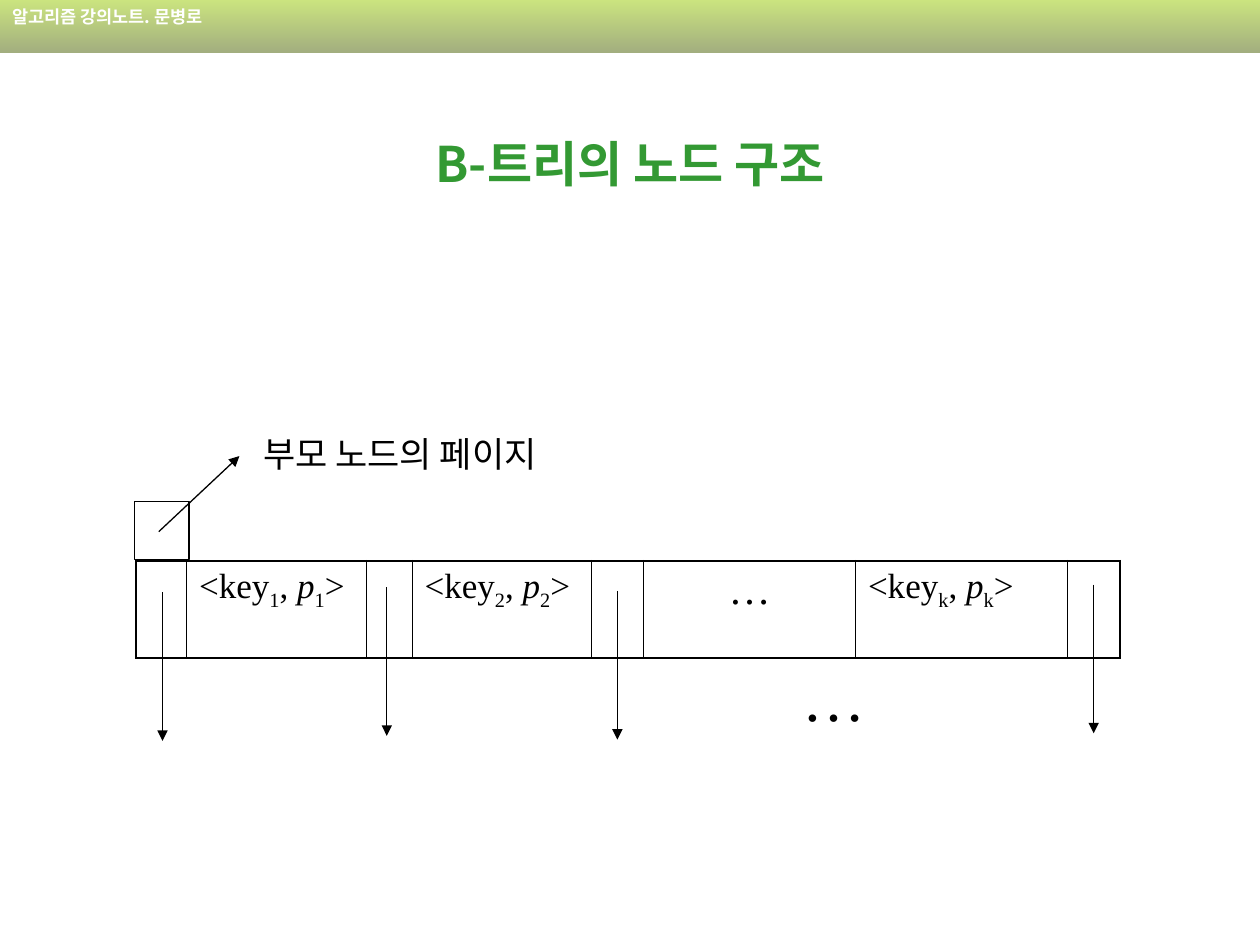
"""Build the slide on the node structure of a B-tree."""
import pptx
import pptx.util
import pptx.dml.color
import pptx.enum.shapes
import pptx.enum.text
from lxml import etree
from pptx.oxml.ns import qn

Inches, Pt = pptx.util.Inches, pptx.util.Pt
RGBColor = pptx.dml.color.RGBColor
ALIGN = pptx.enum.text.PP_ALIGN
RECTANGLE = pptx.enum.shapes.MSO_SHAPE.RECTANGLE
STRAIGHT = pptx.enum.shapes.MSO_CONNECTOR.STRAIGHT

BLACK = RGBColor(0x00, 0x00, 0x00)
WHITE = RGBColor(0xFF, 0xFF, 0xFF)
GREEN = RGBColor(0x33, 0x99, 0x33)
LIME = RGBColor(0x99, 0xCC, 0x00)
OLIVE = RGBColor(0x47, 0x5E, 0x00)
KOREAN, LATIN = "Noto Sans CJK KR", "Times New Roman"

HEADER = "알고리즘 강의노트. 문병로"
TITLE = "B-트리의 노드 구조"
PARENT_PAGE = "부모 노드의 페이지"
DOTS = "…"
NODE_FIELDS = [("", 0.4), ("1", 1.43), ("", 0.36), ("2", 1.42),
               ("", 0.42), (DOTS, 1.68), ("k", 1.68), ("", 0.42)]
NODE_LEFT, NODE_TOP, NODE_HEIGHT = 1.08, 4.45, 0.77
CHILD_POINTERS = [(1.29, 4.7), (3.07, 4.66), (4.9, 4.69), (8.68, 4.64)]
POINTER_LENGTH = 1.18
PARENT_POINTER = (1.26, 4.22, 1.9, 3.62)


def style(run, size, face, color=BLACK, bold=False):
    run.font.size, run.font.bold = Pt(size), bold
    run.font.color.rgb = color
    run.font.name = face
    etree.SubElement(run._r.get_or_add_rPr(), qn("a:ea"), typeface=face)


def write(frame, text, size, face, color=BLACK, bold=False, align=ALIGN.LEFT):
    frame.text = text
    line = frame.paragraphs[0]
    line.alignment = align
    style(line.runs[0], size, face, color, bold)


def add_label(slide, box, text, size, face, **look):
    label = slide.shapes.add_textbox(*map(Inches, box))
    write(label.text_frame, text, size, face, **look)
    return label.text_frame


def add_arrow(slide, *ends):
    arrow = slide.shapes.add_connector(STRAIGHT, *map(Inches, ends))
    arrow.line.color.rgb, arrow.line.width = BLACK, Pt(0.75)
    etree.SubElement(arrow.line._get_or_add_ln(), qn("a:tailEnd"), type="triangle")
    etree.SubElement(arrow._element.spPr, qn("a:effectLst"))


def write_key(frame, index):
    parts = [("<key", False, False), (index, True, False), (", ", False, False),
             ("p", False, True), (index, True, False), (">", False, False)]
    for text, lowered, italic in parts:
        run = frame.paragraphs[0].add_run()
        run.text = text
        style(run, 20, LATIN)
        run.font.italic = italic
        if lowered:
            run._r.get_or_add_rPr().set("baseline", "-25000")


def set_borders(cell, widths):
    properties = cell._tc.get_or_add_tcPr()
    for place, (side, width) in enumerate(widths.items()):
        edge = etree.Element(qn("a:ln" + side), w=str(Pt(width)))
        paint = etree.SubElement(edge, qn("a:solidFill"))
        etree.SubElement(paint, qn("a:srgbClr"), val=str(BLACK))
        properties.insert(place, edge)


def add_header(slide):
    band = slide.shapes.add_shape(RECTANGLE, 0, 0, Inches(10), Inches(0.42))
    band.shadow.inherit = False
    band.line.fill.background()
    band.fill.gradient()
    band.fill.gradient_angle = 270
    for stop, color in zip(band.fill.gradient_stops, (LIME, OLIVE)):
        stop.color.rgb = color
    for tint in band._element.spPr.iter(qn("a:srgbClr")):
        etree.SubElement(tint, qn("a:alpha"), val="50000")
    band.text_frame.vertical_anchor = pptx.enum.text.MSO_ANCHOR.TOP
    write(band.text_frame, HEADER, 10, KOREAN, WHITE, True)


def add_node(slide):
    total = sum(width for _, width in NODE_FIELDS)
    node = slide.shapes.add_table(
        1, len(NODE_FIELDS), Inches(NODE_LEFT), Inches(NODE_TOP),
        Inches(total), Inches(NODE_HEIGHT)).table
    node.first_row = node.horz_banding = False
    last = len(NODE_FIELDS) - 1
    for column, (field, width) in enumerate(NODE_FIELDS):
        node.columns[column].width = Inches(width)
        cell = node.cell(0, column)
        cell.fill.background()
        set_borders(cell, {"L": 1.08 if column == 0 else 0.45,
                           "R": 1.08 if column == last else 0.45,
                           "T": 1.08, "B": 1.08})
        if field == DOTS:
            write(cell.text_frame, DOTS, 24, LATIN, align=ALIGN.CENTER)
        elif field:
            write_key(cell.text_frame, field)


def main():
    deck = pptx.Presentation()
    deck.slide_width, deck.slide_height = Inches(10), Inches(7.5)
    slide = deck.slides.add_slide(deck.slide_layouts[6])

    add_header(slide)
    add_node(slide)
    for x, top in CHILD_POINTERS:
        add_arrow(slide, x, top, x, top + POINTER_LENGTH)
    add_label(slide, (6.27, 5.18, 0.7, 0.7), DOTS, 36, LATIN)

    parent = slide.shapes.add_shape(
        RECTANGLE, *map(Inches, (1.07, 3.98, 0.43, 0.46)))
    parent.shadow.inherit = False
    parent.fill.background()
    parent.line.color.rgb, parent.line.width = BLACK, Pt(0.75)
    add_arrow(slide, *PARENT_POINTER)
    add_label(slide, (1.99, 3.38, 2.4, 0.44), PARENT_PAGE, 20, KOREAN)

    title = add_label(slide, (0.75, 0.67, 8.5, 1.25), TITLE, 28, KOREAN,
                      color=GREEN, bold=True, align=ALIGN.CENTER)
    title.word_wrap = True
    title.vertical_anchor = pptx.enum.text.MSO_ANCHOR.MIDDLE
    deck.save("out.pptx")


if __name__ == "__main__":
    main()
